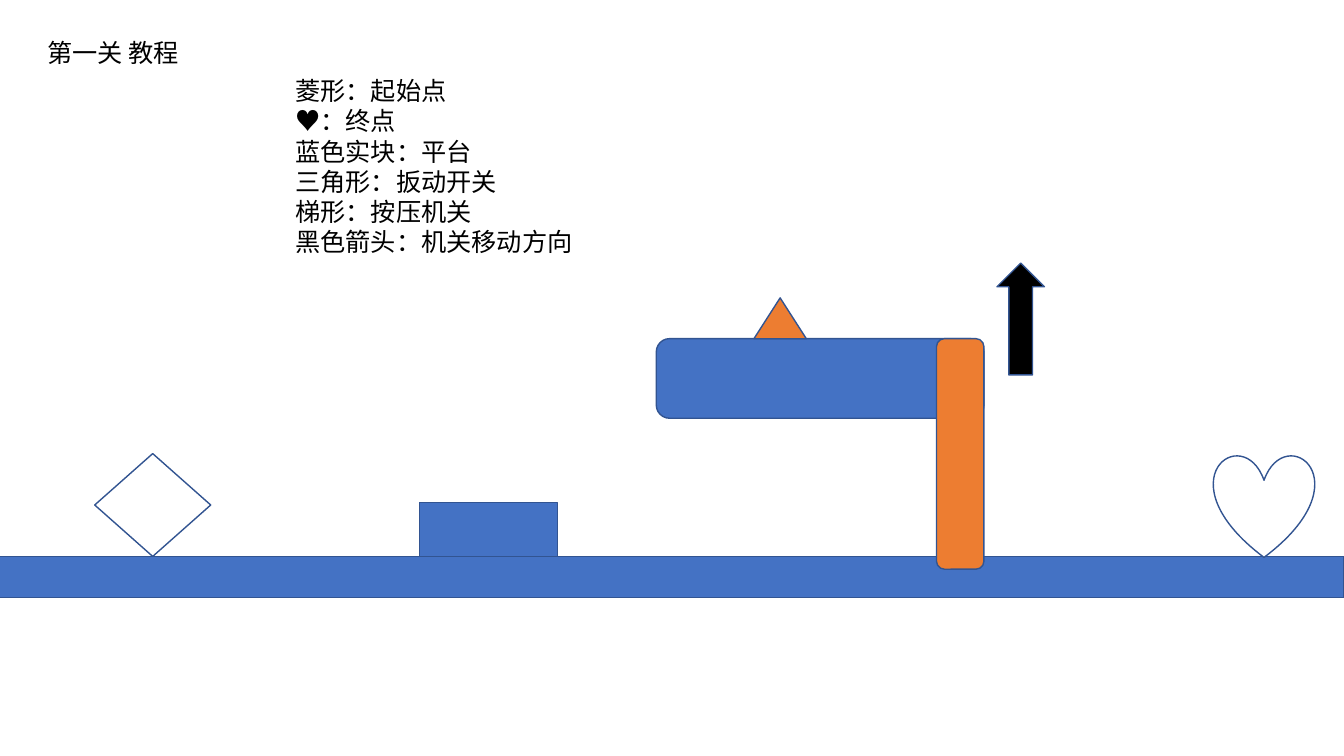
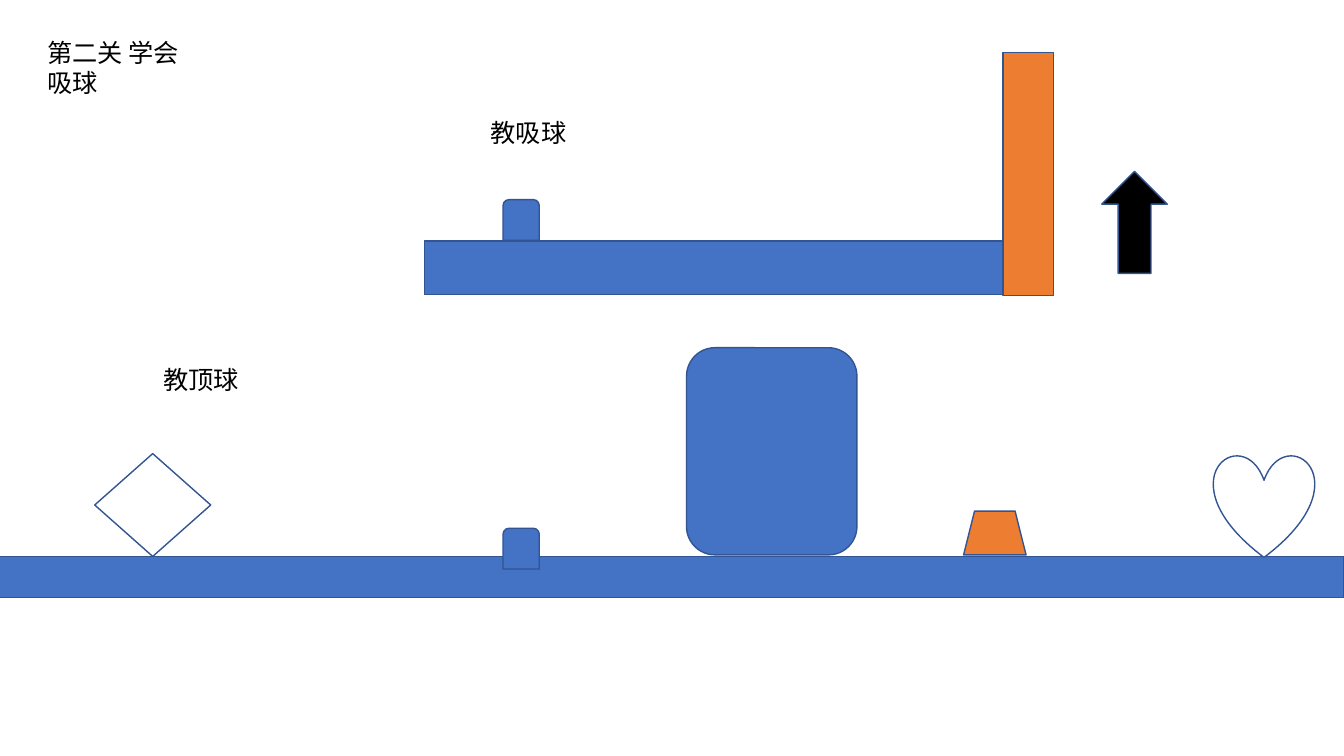
"""Build two game level sketches on a grid of 100 columns and 100 rows."""
from pptx import Presentation
from pptx.dml.color import RGBColor
from pptx.enum.shapes import MSO_SHAPE as Kind
from pptx.oxml.ns import qn
from pptx.util import Inches, Pt
from lxml.etree import SubElement

FONT = "Noto Sans CJK SC"
BLUE, EDGE, GOLD = "4472C4", "325491", "ED7D31"
WHITE, BLACK = "FFFFFF", "000000"

deck = Presentation()
deck.slide_width, deck.slide_height = Inches(13.33), Inches(7.5)
COL, ROW = deck.slide_width / 100, deck.slide_height / 100


def draw(page, kind, fill, left, top, wide, high):
    """Add an outlined shape, placed in columns and rows."""
    item = page.shapes.add_shape(
        kind, int(left * COL), int(top * ROW), int(wide * COL), int(high * ROW))
    item.shadow.inherit = False
    item.fill.solid()
    item.fill.fore_color.rgb = RGBColor.from_string(fill)
    item.line.color.rgb = RGBColor.from_string(EDGE)
    item.line.width = Pt(1)


def write(page, text, left, top, wide=12, high=5.33, size=18, color=BLACK):
    """Add a text box with one paragraph for each line of text."""
    box = page.shapes.add_textbox(
        int(left * COL), int(top * ROW), int(wide * COL), int(high * ROW))
    frame = box.text_frame
    frame.word_wrap = True
    frame.text = text
    for para in frame.paragraphs:
        para.line_spacing = Pt(size * 1.2)
        for run in para.runs:
            run.font.size = Pt(size)
            run.font.name = FONT
            run.font.color.rgb = RGBColor.from_string(color)
            SubElement(run.font._element, qn("a:ea"), typeface=FONT)


GUIDE = """菱形：起始点
♥：终点
蓝色实块：平台
三角形：扳动开关
梯形：按压机关
黑色箭头：机关移动方向"""

LEVELS = [
    ("第一关 教程", 5.33,
     [(GUIDE, 21.23, 9.33, 47.33, 25.6)],
     [(Kind.RECTANGLE, BLUE, 31.2, 66.5, 10.28, 7.1),
      (Kind.ROUNDED_RECTANGLE, BLUE, 48.83, 44.8, 24.38, 10.53),
      (Kind.ISOSCELES_TRIANGLE, GOLD, 56.1, 39.4, 3.9, 5.4),
      (Kind.ROUNDED_RECTANGLE, GOLD, 69.68, 44.8, 3.53, 30.5),
      (Kind.UP_ARROW, BLACK, 74.18, 34.8, 3.53, 14.8)]),
    ("第二关 学会吸球", 9.47,
     [("教顶球", 11.4, 47.47), ("教吸球", 35.78, 14.8)],
     [(Kind.RECTANGLE, BLUE, 31.58, 31.87, 46.8, 7.1),
      (Kind.ROUNDED_RECTANGLE, BLUE, 51.08, 46, 12.68, 27.4),
      (Kind.ROUND_2_SAME_RECTANGLE, BLUE, 37.43, 26.4, 2.7, 5.4),
      (Kind.ROUND_2_SAME_RECTANGLE, BLUE, 37.43, 69.87, 2.7, 5.4),
      (Kind.RECTANGLE, GOLD, 74.63, 6.93, 3.75, 32.2),
      (Kind.TRAPEZOID, GOLD, 71.7, 67.6, 4.65, 5.8),
      (Kind.UP_ARROW, BLACK, 81.98, 22.67, 4.88, 13.5)]),
]
SHARED = [
    (Kind.RECTANGLE, BLUE, -2.33, 73.6, 102.33, 5.4),
    (Kind.DIAMOND, WHITE, 7.05, 60, 8.63, 13.6),
    (Kind.HEART, WHITE, 90.3, 60.13, 7.5, 13.6),
]

for title, high, notes, parts in LEVELS:
    page = deck.slides.add_slide(deck.slide_layouts[6])
    write(page, title, 2.78, 4.27, wide=12.9, high=high)
    for part in SHARED + parts:
        draw(page, *part)
    for note in notes:
        write(page, *note)

deck.save("out.pptx")
